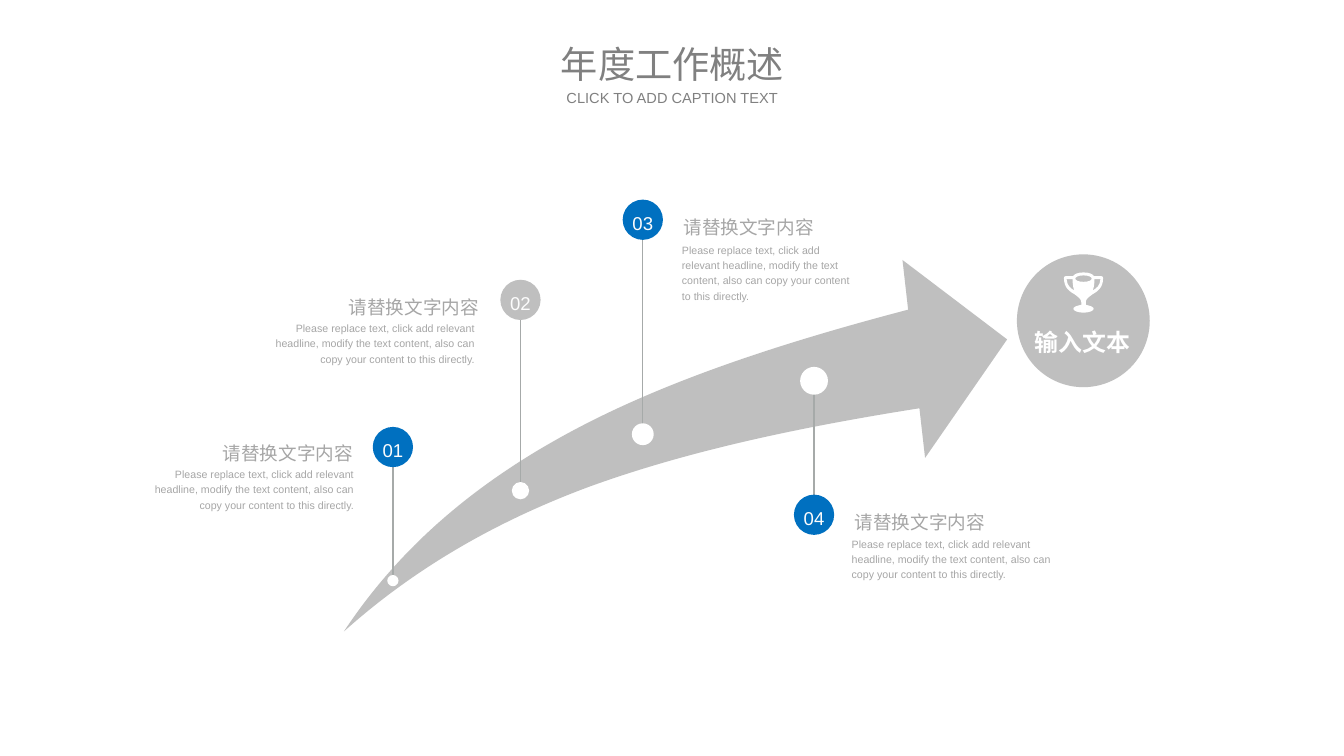
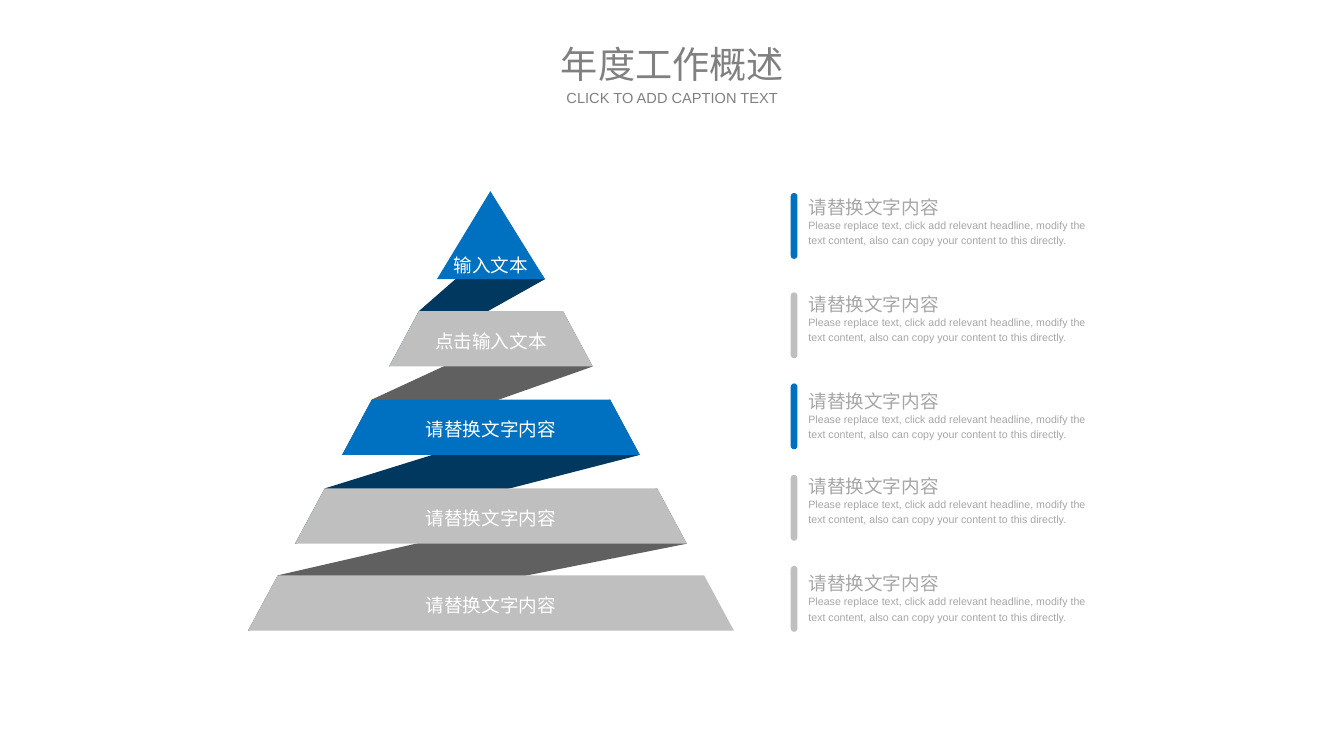
from lxml.etree import SubElement
from pptx import Presentation
from pptx.dml.color import RGBColor
from pptx.enum.shapes import MSO_CONNECTOR, MSO_SHAPE as SHAPE
from pptx.enum.text import MSO_ANCHOR as ANCHOR, PP_ALIGN as ALIGN
from pptx.oxml import parse_xml
from pptx.oxml.ns import nsdecls, qn
from pptx.util import Cm, Pt

BLUE, NAVY = "0070C0", "003860"
SILVER, DARK = "BFBFBF", "606060"
WHITE, MUTED, HEADING = "FFFFFF", "A6A6A6", "808080"
FONT = "Arial"
HEAD = "请替换文字内容"
BODY = ("Please replace text, click add relevant headline, modify the text "
        "content, also can copy your content to this directly.")


def paint(shape, color):
    shape.shadow.inherit = False
    shape.fill.solid()
    shape.fill.fore_color.rgb = RGBColor.from_string(color)
    shape.line.fill.background()


def text(s, content, x, y, w, h, size=14, color=MUTED, bold=False,
         align=ALIGN.LEFT, anchor=ANCHOR.MIDDLE, spacing=1.2):
    tf = s.shapes.add_textbox(Cm(x), Cm(y), Cm(w), Cm(h)).text_frame
    tf.margin_left = tf.margin_right = tf.margin_top = tf.margin_bottom = 0
    tf.word_wrap = True
    tf.vertical_anchor = anchor
    p = tf.paragraphs[0]
    p.alignment = align
    p.line_spacing = spacing
    r = p.add_run()
    r.text = content
    r.font.name = FONT
    r.font.size = Pt(size)
    r.font.bold = bold
    r.font.color.rgb = RGBColor.from_string(color)


prs = Presentation()
prs.slide_width, prs.slide_height = Cm(35.71), Cm(20.09)

# Both slides carry the same heading
slides = [prs.slides.add_slide(prs.slide_layouts[6]) for _ in range(2)]
for s in slides:
    text(s, "年度工作概述", 14.65, 1.07, 6.43, 1.24, size=28, color=HEADING,
         align=ALIGN.CENTER, spacing=1)
    text(s, "CLICK TO ADD CAPTION TEXT", 14.65, 2.36, 6.43, 0.48, size=11,
         color=HEADING, align=ALIGN.CENTER, spacing=1)

# Slide 1: rising arrow with milestones
s = slides[0]
goal = s.shapes.add_shape(SHAPE.OVAL, Cm(27.02), Cm(6.76), Cm(3.53), Cm(3.53))
paint(goal, SILVER)
text(s, "输入文本", 27.47, 8.46, 2.6, 1.04, size=18, color=WHITE, bold=True,
     align=ALIGN.CENTER, spacing=1.3)

# Outlines: two numbers are a corner, six are a Bézier curve
arrow = [
    [(9.14, 16.78), (10.54, 14.66, 12.45, 12.98, 14.88, 11.63),
     (17.37, 10.24, 20.47, 9.19, 24.13, 8.23), (23.98, 6.91), (26.76, 9.02),
     (24.58, 12.17), (24.43, 10.85), (21.08, 11.38, 18.21, 12.01, 15.67, 12.93),
     (13.13, 13.87, 10.97, 15.14, 9.14, 16.78)],
]
trophy = [
    # cup and foot
    [(0, 0), (0.16, 0, 0.25, 0.05, 0.28, 0.1), (0.48, 0.1),
     (0.51, 0.1, 0.52, 0.13, 0.52, 0.15), (0.52, 0.41, 0.37, 0.51, 0.24, 0.58),
     (0.13, 0.66, 0.06, 0.71, 0.06, 0.79), (0.06, 0.86),
     (0.18, 0.89, 0.27, 0.91, 0.27, 0.97), (0.27, 1.02, 0.14, 1.07, 0, 1.07),
     (-0.14, 1.07, -0.27, 1.02, -0.27, 0.97),
     (-0.27, 0.91, -0.18, 0.89, -0.06, 0.86), (-0.06, 0.79),
     (-0.06, 0.71, -0.13, 0.66, -0.24, 0.58),
     (-0.37, 0.51, -0.52, 0.41, -0.52, 0.15),
     (-0.52, 0.13, -0.51, 0.1, -0.48, 0.1), (-0.28, 0.1),
     (-0.25, 0.05, -0.16, 0, 0, 0)],
    # rim opening
    [(0, 0.08), (0.29, 0.08, 0.29, 0.25, 0, 0.25),
     (-0.29, 0.25, -0.29, 0.08, 0, 0.08)],
    # handle openings
    [(0.29, 0.18), (0.45, 0.18), (0.44, 0.35, 0.34, 0.43, 0.24, 0.48),
     (0.27, 0.43, 0.29, 0.33, 0.29, 0.18)],
    [(-0.29, 0.18), (-0.45, 0.18), (-0.44, 0.35, -0.34, 0.43, -0.24, 0.48),
     (-0.27, 0.43, -0.29, 0.33, -0.29, 0.18)],
]
for contours, left, top, color in ((arrow, 0, 0, SILVER),
                                   (trophy, 28.79, 7.24, WHITE)):
    builder = None
    for contour in contours:
        points = [(Cm(left + x), Cm(top + y)) for seg in contour
                  for x, y in zip(seg[::2], seg[1::2])]
        if builder is None:
            builder = s.shapes.build_freeform(*points[0])
        else:
            builder.move_to(*points[0])
        builder.add_line_segments(points[1:], close=True)
    shape = builder.convert_to_shape()
    paint(shape, color)
    # Join the three points of each curve into one Bézier segment
    nodes = iter(list(shape._element.iter(qn("a:lnTo"))))
    for contour in contours:
        for seg in contour[1:]:
            group = [next(nodes) for _ in range(len(seg) // 2)]
            if len(group) == 3:
                curve = parse_xml(f"<a:cubicBezTo {nsdecls('a')}/>")
                group[0].addprevious(curve)
                for node in group:
                    curve.append(node[0])
                    node.getparent().remove(node)

# x, badge y, dot y, dot size, colour, head (x, y, w), body (x, y, w), align
milestones = [
    (10.44, 11.88, 15.43, 0.3, BLUE,
     (5.34, 11.63, 4.04), (3.67, 12.37, 5.74), ALIGN.RIGHT),
    (13.83, 7.97, 13.04, 0.46, SILVER,
     (8.36, 7.74, 4.37), (6.88, 8.49, 5.74), ALIGN.RIGHT),
    (17.08, 5.84, 11.54, 0.58, BLUE,
     (18.16, 5.62, 3.73), (18.12, 6.41, 4.75), ALIGN.LEFT),
    (21.63, 13.68, 10.12, 0.74, BLUE,
     (22.71, 13.46, 3.73), (22.63, 14.22, 5.74), ALIGN.LEFT),
]
BADGE = 1.07
for i, (x, badge_y, dot_y, dot, color, head, body, align) in enumerate(milestones, 1):
    stem = s.shapes.add_connector(MSO_CONNECTOR.STRAIGHT,
                                  Cm(x), Cm(dot_y), Cm(x), Cm(badge_y))
    stem.line.width = Pt(1)
    stem.line.color.rgb = RGBColor.from_string("A6AAA9")
    SubElement(stem._element.spPr, qn("a:effectLst"))
    for y, size, fill in ((badge_y, BADGE, color), (dot_y, dot, WHITE)):
        disc = s.shapes.add_shape(SHAPE.OVAL, Cm(x - size / 2), Cm(y - size / 2),
                                  Cm(size), Cm(size))
        paint(disc, fill)
    text(s, f"{i:02}", x - 0.33, badge_y - 0.37, 0.66, 0.79, color="FCFCFC",
         align=ALIGN.CENTER)
    text(s, HEAD, *head, 0.7, align=align)
    text(s, BODY, *body, 1.2, size=8, align=align, anchor=ANCHOR.TOP)

# Slide 2: folded ribbon pyramid
s = slides[1]
SLANT, TIER_H = 0.79, 1.47
apex = (13.03, 5.08)
tiers = [[apex, apex, (14.48, 7.42), (11.61, 7.42)]]
for i, top in enumerate((8.27, 10.62, 12.98, 15.29)):
    left, right = 11.13 - 1.25 * i, 14.96 + 1.25 * i
    tiers.append([(left, top), (right, top),
                  (right + SLANT, top + TIER_H), (left - SLANT, top + TIER_H)])

# Each fold runs from the right side of a tier to the left side of the next
folds = [[upper[1], lower[0], lower[3], upper[2]]
         for upper, lower in zip(tiers, tiers[1:])]
folds[0][0] = (13.61, 6.1)
tiers[0].pop(0)
colors = [NAVY, DARK, NAVY, DARK, BLUE, SILVER, BLUE, SILVER, SILVER]
for outline, color in zip(folds + tiers, colors):
    points = [(Cm(x), Cm(y)) for x, y in outline]
    builder = s.shapes.build_freeform(*points[0])
    builder.add_line_segments(points[1:], close=True)
    paint(builder.convert_to_shape(), color)

labels = ["输入文本", "点击输入文本", HEAD, HEAD, HEAD]
for i, (label, tier) in enumerate(zip(labels, tiers)):
    (right, bottom), (left, _) = tier[-2:]
    rise = 1.34 if i else 1.04
    text(s, label, left, bottom - rise, right - left, 1.19, color=WHITE,
         align=ALIGN.CENTER)

# Notes with a coloured bar: bar top, text top, colour
notes = [(5.13, 5.08, BLUE), (7.77, 7.67, SILVER), (10.19, 10.24, BLUE),
         (12.62, 12.51, SILVER), (15.04, 15.09, SILVER)]
for bar_y, text_y, color in notes:
    bar = s.shapes.add_shape(SHAPE.ROUND_2_SAME_RECTANGLE,
                             Cm(21.01), Cm(bar_y), Cm(0.18), Cm(1.75))
    bar.adjustments[0] = bar.adjustments[1] = 0.5
    paint(bar, color)
    text(s, HEAD, 21.48, text_y, 3.73, 0.71, anchor=ANCHOR.TOP)
    text(s, BODY, 21.48, text_y + 0.66, 7.49, 0.79, size=8, anchor=ANCHOR.TOP)

prs.save("out.pptx")
